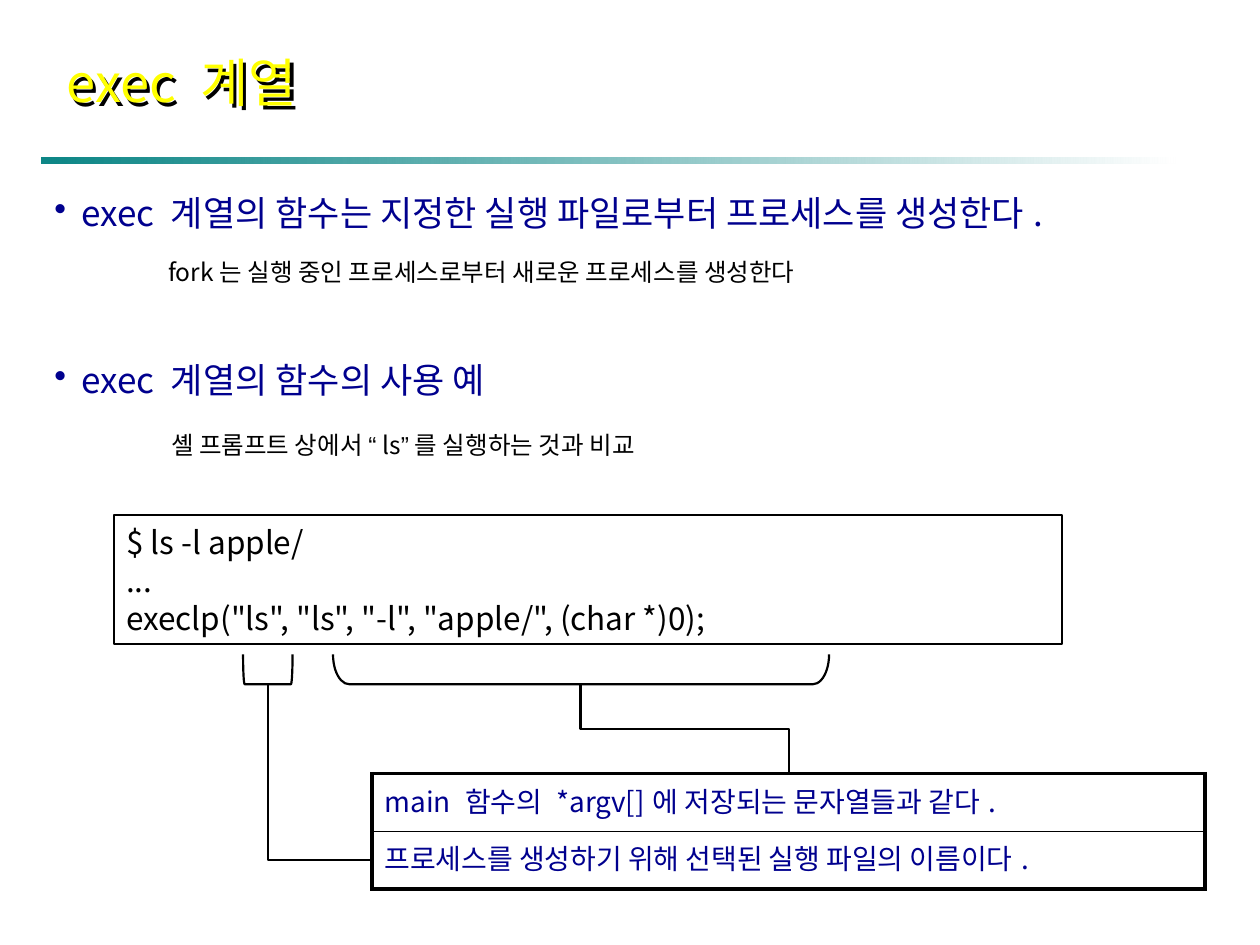
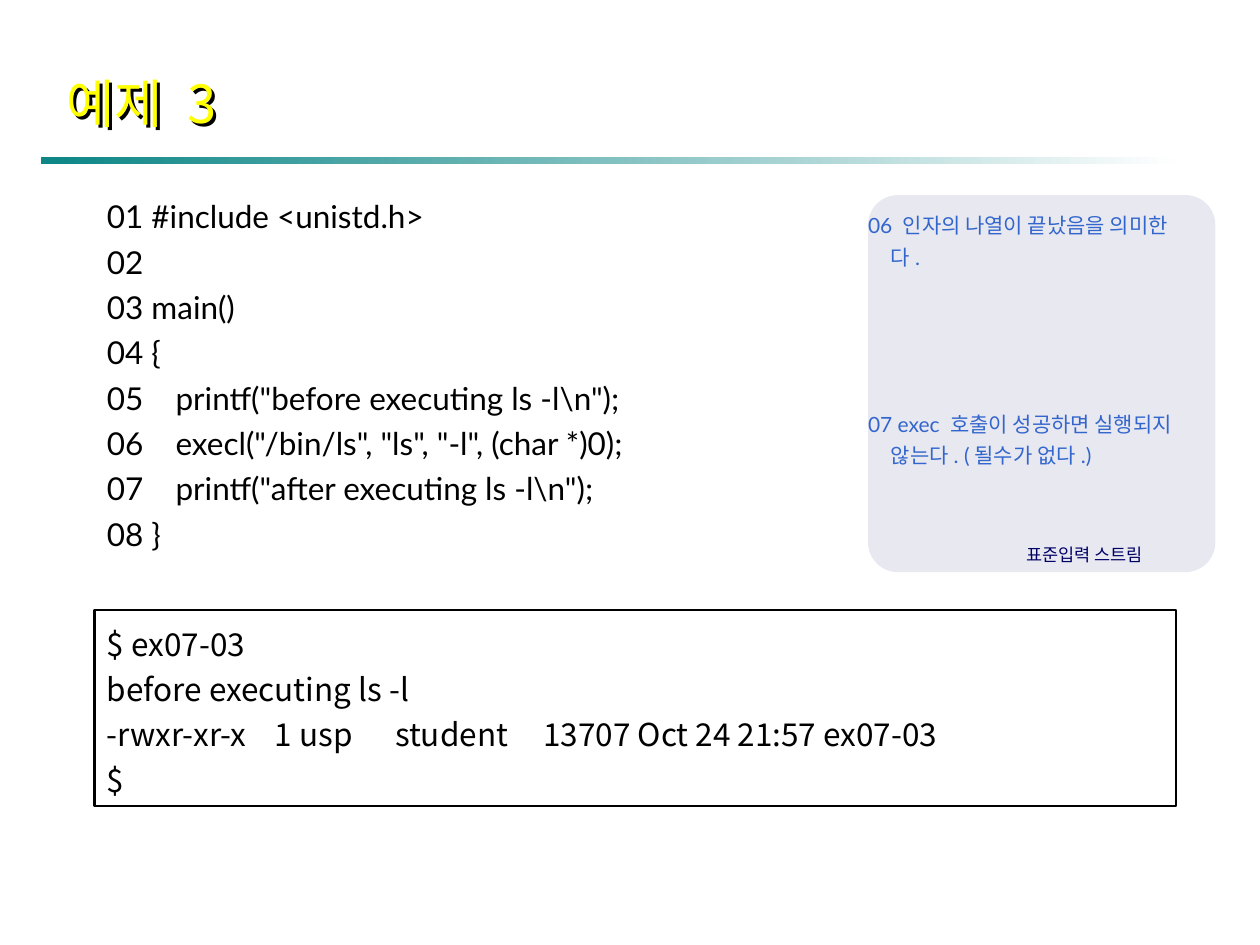
"""Build two lecture slides about the exec family of functions."""
import itertools

import pptx
import pptx.dml.color
import pptx.enum.dml
import pptx.enum.shapes
import pptx.enum.text
import pptx.oxml
import pptx.oxml.ns
import pptx.util

Pt = pptx.util.Pt
RGBColor = pptx.dml.color.RGBColor
SHAPE = pptx.enum.shapes.MSO_SHAPE
ELBOW = pptx.enum.shapes.MSO_CONNECTOR.ELBOW
MIDDLE = pptx.enum.text.MSO_ANCHOR.MIDDLE
TOP = pptx.enum.text.MSO_ANCHOR.TOP
LEFT = pptx.enum.text.PP_ALIGN.LEFT
qn = pptx.oxml.ns.qn
NAMESPACE = pptx.oxml.ns.nsdecls("a")

BLACK = RGBColor(0x00, 0x00, 0x00)
WHITE = RGBColor(0xFF, 0xFF, 0xFF)
TEAL = RGBColor(0x00, 0x80, 0x80)
YELLOW = RGBColor(0xFF, 0xFF, 0x00)
NAVY = RGBColor(0x00, 0x00, 0x8E)
DARK_BLUE = RGBColor(0x00, 0x00, 0x66)
NOTE_BLUE = RGBColor(0x33, 0x66, 0xCC)
KOREAN_FONT = "Noto Sans CJK KR"
LATIN_FONT = "Lato"
QUOTE_FONT = "Arial"
QUOTES = "“”"


def add_text(text_frame, text, size=18, color=BLACK, font=KOREAN_FONT, anchor=TOP,
             bullet=False, line_spacing=None, space_before=0, hanging=0):
    """Fill a text frame, one paragraph for each line of text."""
    text_frame.word_wrap = True
    text_frame.vertical_anchor = anchor
    for number, line in enumerate(text.split("\n")):
        paragraph = text_frame.add_paragraph() if number else text_frame.paragraphs[0]
        paragraph.alignment = LEFT
        if line_spacing:
            paragraph.line_spacing = line_spacing
        if number:
            paragraph.space_before = Pt(space_before)
        properties = paragraph._p.get_or_add_pPr()
        if bullet:
            properties.set("marL", str(Pt(11)))
            properties.set("indent", str(-Pt(11)))
            properties.append(pptx.oxml.parse_xml(f'<a:buChar {NAMESPACE} char="•"/>'))
        elif number and hanging:
            properties.set("marL", str(Pt(hanging)))
        for quoted, letters in itertools.groupby(line, lambda letter: letter in QUOTES):
            run = paragraph.add_run()
            run.text = "".join(letters)
            run.font.size = Pt(size)
            run.font.color.rgb = color
            run.font.name = QUOTE_FONT if quoted else font
            east_asian = QUOTE_FONT if quoted else KOREAN_FONT
            run.font._element.find(qn("a:latin")).addnext(
                pptx.oxml.parse_xml(f'<a:ea {NAMESPACE} typeface="{east_asian}"/>'))


def set_opacity(shape, percent):
    """Set the opacity of the first colour in a shape."""
    color = next(shape._element.spPr.iter(qn("a:srgbClr")))
    color.append(pptx.oxml.parse_xml(f'<a:alpha {NAMESPACE} val="{percent * 1000}"/>'))


presentation = pptx.Presentation()
presentation.slide_width = Pt(720)
presentation.slide_height = Pt(540)

for title, title_top in (("exec 계열", 22.3), ("예제 3", 33.8)):
    slide = presentation.slides.add_slide(presentation.slide_layouts[6])
    band = slide.shapes.add_shape(SHAPE.RECTANGLE, Pt(24), Pt(90), Pt(648), Pt(3.75))
    band.shadow.inherit = False
    band.line.fill.background()
    band.fill.gradient()
    band.fill.gradient_angle = 0
    for stop, color, position in zip(band.fill.gradient_stops, (TEAL, WHITE), (0, 1)):
        stop.color.rgb = color
        stop.position = position
    set_opacity(band, 95)
    title_box = slide.shapes.add_textbox(Pt(31), Pt(title_top), Pt(467), Pt(49))
    add_text(title_box.text_frame, title, size=30, color=YELLOW, anchor=MIDDLE)
    title_box._element.spPr.append(pptx.oxml.parse_xml(
        f'<a:effectLst {NAMESPACE}><a:outerShdw dist="{Pt(2.5)}" dir="2700000">'
        '<a:srgbClr val="000000"/></a:outerShdw></a:effectLst>'))

exec_slide, example_slide = presentation.slides

for text, top in ((" exec 계열의 함수는 지정한 실행 파일로부터 프로세스를 생성한다.", 106),
                  (" exec 계열의 함수의 사용 예", 201.5)):
    heading = exec_slide.shapes.add_textbox(Pt(24), Pt(top), Pt(648), Pt(34))
    add_text(heading.text_frame, text, size=20, color=NAVY, bullet=True)

for text, left, top in (
        ("fork는 실행 중인 프로세스로부터 새로운 프로세스를 생성한다", 89, 143.3),
        ("셸 프롬프트 상에서 “ls”를 실행하는 것과 비교", 90.7, 242)):
    remark = exec_slide.shapes.add_textbox(Pt(left), Pt(top), Pt(560), Pt(24))
    add_text(remark.text_frame, text, size=14)

call_text = """$ ls -l apple/
...
execlp("ls", "ls", "-l", "apple/", (char *)0);"""
output_text = """$ ex07-03
before executing ls -l
-rwxr-xr-x    1 usp      student     13707 Oct 24 21:57 ex07-03
$"""
for slide, text, left, top, width, height, spacing in (
        (exec_slide, call_text, 65, 294.5, 542, 73.5, None),
        (example_slide, output_text, 54, 348.5, 618, 112, 1.2)):
    console = slide.shapes.add_shape(SHAPE.RECTANGLE, Pt(left), Pt(top), Pt(width), Pt(height))
    console.shadow.inherit = False
    console.fill.background()
    console.line.color.rgb = BLACK
    console.line.width = Pt(1.25)
    add_text(console.text_frame, text, anchor=MIDDLE, line_spacing=spacing)

meanings = ("main 함수의 *argv[]에 저장되는 문자열들과 같다.",
            "프로세스를 생성하기 위해 선택된 실행 파일의 이름이다.")
table = exec_slide.shapes.add_table(2, 1, Pt(212.5), Pt(442), Pt(476), Pt(66)).table
table.first_row = False
table.horz_banding = False
for row, meaning in enumerate(meanings):
    cell = table.cell(row, 0)
    add_text(cell.text_frame, meaning, size=16, color=NAVY)
    cell_properties = cell._tc.get_or_add_tcPr()
    top_width, bottom_width = ((2.25, 1), (1, 2.25))[row]
    for side, width in (("L", 2.25), ("R", 2.25), ("T", top_width), ("B", bottom_width)):
        cell_properties.append(pptx.oxml.parse_xml(
            f'<a:ln{side} {NAMESPACE} w="{Pt(width)}"><a:solidFill>'
            f'<a:srgbClr val="{BLACK}"/></a:solidFill></a:ln{side}>'))
    cell.fill.background()

bracket_depth = 17
for center, length, curve in ((332, 283.5, 0.544), (153, 28.3, 0.054)):
    bracket = exec_slide.shapes.add_shape(
        SHAPE.RIGHT_BRACKET, Pt(center - bracket_depth / 2), Pt(382.5 - length / 2),
        Pt(bracket_depth), Pt(length))
    bracket.rotation = 90
    bracket.adjustments[0] = curve
    bracket.shadow.inherit = False
    bracket.fill.background()
    bracket.line.color.rgb = BLACK
    bracket.line.width = Pt(1.25)

name_link = exec_slide.shapes.add_connector(ELBOW, Pt(212.5), Pt(491.5), Pt(153), Pt(391.5))
name_link._element.spPr.find(qn("a:prstGeom")).set("prst", "bentConnector2")
arguments_link = exec_slide.shapes.add_connector(
    ELBOW, Pt(416.5), Pt(357), Pt(366), Pt(476))
arguments_link._element.spPr.find(qn("a:xfrm")).set("rot", str(270 * 60000))
for link in (name_link, arguments_link):
    link.line.color.rgb = BLACK
    link.line.width = Pt(1.25)
    link._element.spPr.append(pptx.oxml.parse_xml(f"<a:effectLst {NAMESPACE}/>"))

source_code = r"""01 #include <unistd.h>
02
03 main()
04 {
05    printf("before executing ls -l\n");
06    execl("/bin/ls", "ls", "-l", (char *)0);
07    printf("after executing ls -l\n");
08 }"""
code_box = example_slide.shapes.add_textbox(Pt(54), Pt(104.5), Pt(363), Pt(215))
add_text(code_box.text_frame, source_code, font=LATIN_FONT, anchor=MIDDLE, line_spacing=1.2)

stream_label = example_slide.shapes.add_textbox(Pt(579.5), Pt(307.5), Pt(88), Pt(19.5))
add_text(stream_label.text_frame, "표준입력 스트림", size=10, color=DARK_BLUE)

note_panel = example_slide.shapes.add_shape(
    SHAPE.ROUNDED_RECTANGLE, Pt(496), Pt(111.5), Pt(198.5), Pt(215.5))
note_panel.adjustments[0] = 0.086
note_panel.shadow.inherit = False
note_panel.line.fill.background()
note_panel.fill.solid()
note_panel.fill.fore_color.rgb = DARK_BLUE
set_opacity(note_panel, 9)

for text, top in (("06 인자의 나열이 끝났음을 의미한\n다.", 120),
                  ("07 exec 호출이 성공하면 실행되지\n않는다. (될수가 없다.)", 233.5)):
    note = example_slide.shapes.add_textbox(Pt(496), Pt(top), Pt(193), Pt(53))
    frame = note.text_frame
    frame.margin_left = frame.margin_right = frame.margin_top = frame.margin_bottom = 0
    add_text(frame, text, size=12, color=NOTE_BLUE, font=LATIN_FONT,
             line_spacing=1.1, space_before=2.4, hanging=13)

presentation.save("out.pptx")
